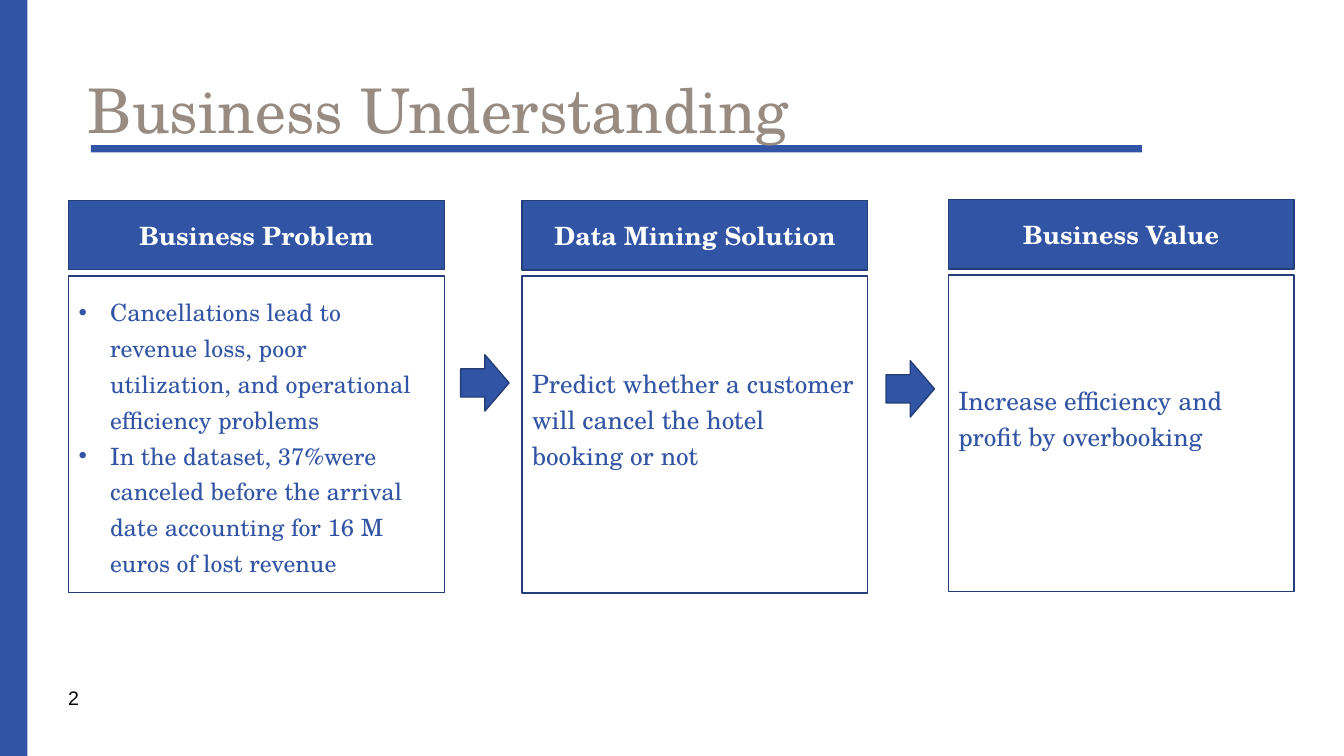
import pptx
import pptx.util
import pptx.dml.color
import pptx.enum.shapes
import pptx.enum.text

Cm, Pt = pptx.util.Cm, pptx.util.Pt
Shape = pptx.enum.shapes.MSO_SHAPE
Align = pptx.enum.text.PP_ALIGN
Anchor = pptx.enum.text.MSO_ANCHOR

BLUE, NAVY, WHITE, TAUPE, BLACK = "3154A4", "243E79", "FFFFFF", "978B82", "000000"
SERIF = "TeX Gyre Schola"
LEAD = Pt(25.6)


def tint(hue):
    return pptx.dml.color.RGBColor.from_string(hue)


class Deck:
    def __init__(self):
        self.show = pptx.Presentation()
        self.show.slide_width, self.show.slide_height = Cm(33.87), Cm(19.05)
        self.slide = self.show.slides.add_slide(self.show.slide_layouts[1])
        self.shapes = self.slide.shapes

    def place(self, shape, box):
        for name, size in zip(("left", "top", "width", "height"), box):
            setattr(shape, name, Cm(size))

    def paint(self, shape, fill, line=None):
        shape.fill.solid()
        shape.fill.fore_color.rgb = tint(fill)
        if line:
            shape.line.color.rgb = tint(line)
            shape.line.width = Pt(1)
        else:
            shape.line.fill.background()

    def letter(self, shape, lines, size, hue, font=SERIF, bold=False,
               anchor=Anchor.MIDDLE, foot=0.13, **style):
        frame = shape.text_frame
        look = {"word_wrap": True, "auto_size": pptx.enum.text.MSO_AUTO_SIZE.NONE,
                "vertical_anchor": anchor, "margin_bottom": Cm(foot)}
        for name, value in look.items():
            setattr(frame, name, value)
        frame.text = "\n".join(lines)
        style = {"alignment": Align.LEFT, "space_before": Pt(0), **style}
        face = {"name": font, "size": Pt(size), "bold": bold}
        for para in frame.paragraphs:
            for name, value in style.items():
                setattr(para, name, value)
            for run in para.runs:
                for name, value in face.items():
                    setattr(run.font, name, value)
                run.font.color.rgb = tint(hue)

    def block(self, box, fill=BLUE, line=NAVY, kind=Shape.RECTANGLE):
        shape = self.shapes.add_shape(kind, *map(Cm, box))
        shape.shadow.inherit = False
        self.paint(shape, fill, line)
        return shape

    def band(self, box):
        """Plain bar behind everything else."""
        item = self.block(box, line=None).element
        item.getparent().insert(2, item)

    def title(self, text, box):
        shape = self.shapes.title
        self.place(shape, box)
        self.letter(shape, [text], 44, TAUPE, line_spacing=0.9)

    def label(self, text, box):
        shape = self.shapes.add_textbox(*map(Cm, box))
        self.letter(shape, [text], 14, BLACK, font="Arial", anchor=Anchor.TOP)

    def head(self, text, box):
        self.letter(self.block(box), [text], 18, WHITE, bold=True, alignment=Align.CENTER)

    def card(self, text, box):
        self.letter(self.block(box, WHITE), [text], 18, BLUE, foot=1.03, line_spacing=LEAD)

    def list(self, lines, box):
        shape = self.slide.placeholders[1]
        self.place(shape, box)
        self.paint(shape, WHITE, NAVY)
        self.letter(shape, lines, 17, BLUE, line_spacing=LEAD)
        inset = Cm(0.79)
        for para in shape.text_frame.paragraphs:
            props = para._p.get_or_add_pPr()
            props.set("marL", str(inset))
            props.set("indent", str(-inset))

    def arrow(self, left, top):
        self.block((left, top, 1.22, 1.42), kind=Shape.RIGHT_ARROW)


def main():
    deck = Deck()

    # Frame and title
    deck.band((0, 0, 0.69, 19.05))
    deck.band((2.29, 3.66, 26.49, 0.18))
    deck.title("Business Understanding", (1.96, 1.02, 29.21, 3.68))
    deck.label("2", (1.47, 17.17, 1.22, 1.02))

    # Three columns: heading, content, left, top, width
    steps = [
        ("Business Problem",
         ["Cancellations lead to revenue loss, poor utilization, and operational "
          "efficiency problems",
          "In the dataset, 37%were canceled before the arrival date accounting for "
          "16 M euros of lost revenue"], 1.73, 5.05, 9.47),
        ("Data Mining Solution",
         "Predict whether a customer will cancel the hotel booking or not",
         13.16, 5.06, 8.71),
        ("Business Value", "Increase efficiency and profit by overbooking",
         23.9, 5.03, 8.71),
    ]
    for name, text, left, top, width in steps:
        deck.head(name, (left, top, width, 1.75))
        draw = deck.card if isinstance(text, str) else deck.list
        draw(text, (left, top + 1.9, width, 7.98))

    # Arrows between columns
    deck.arrow(11.61, 8.94)
    deck.arrow(22.33, 9.09)

    deck.show.save("out.pptx")


if __name__ == "__main__":
    main()
